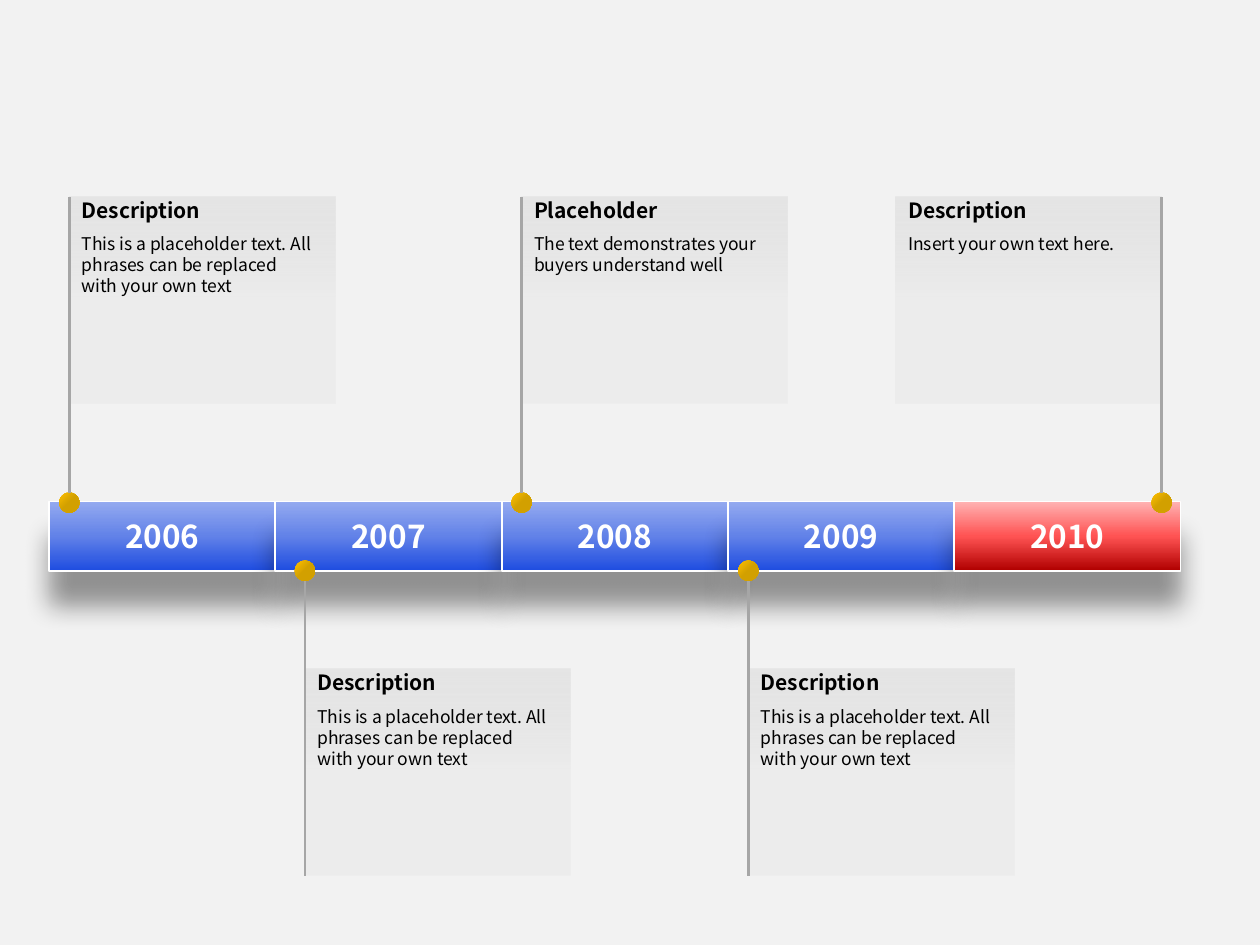
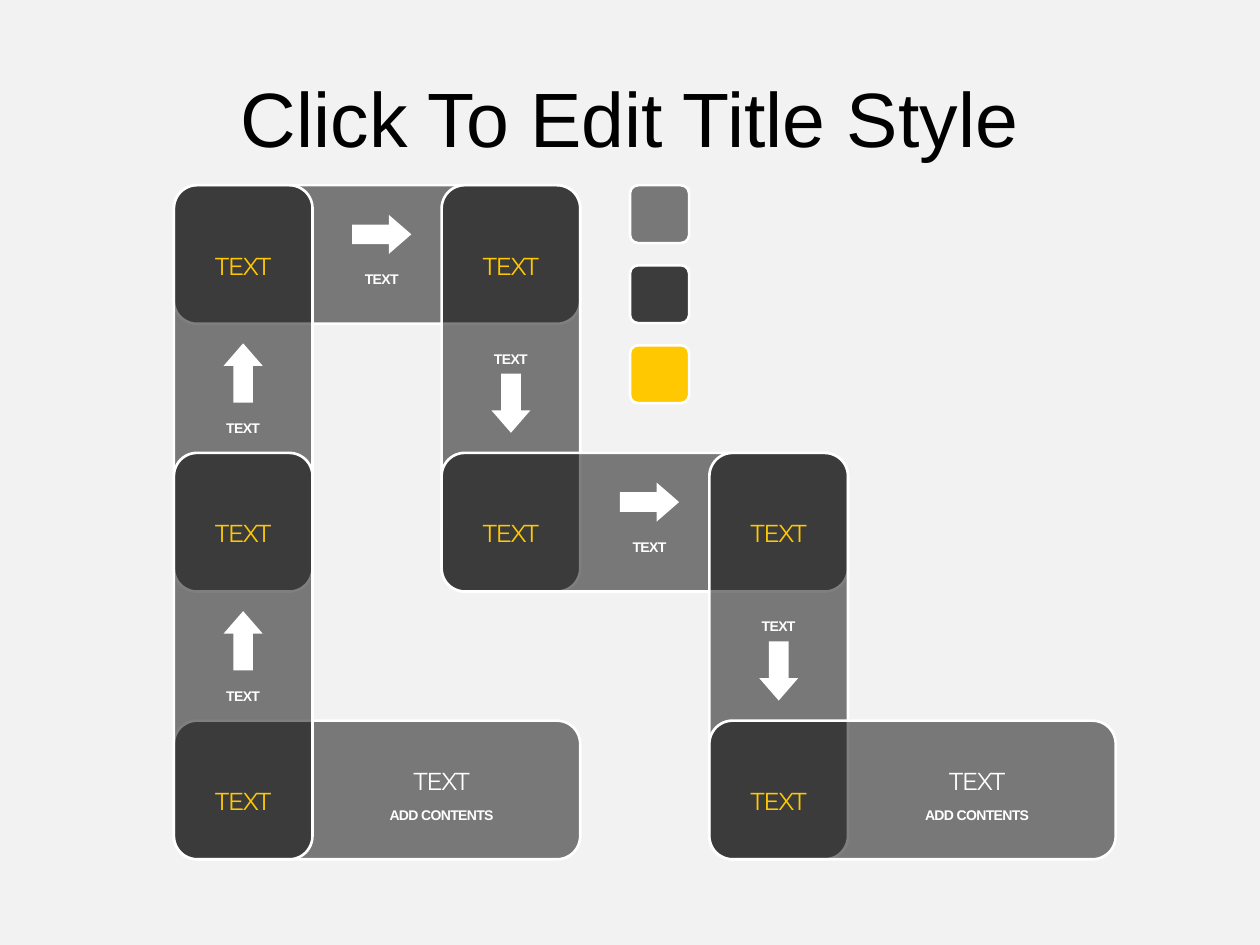
from lxml import etree
from pptx import Presentation
from pptx.dml.color import RGBColor
from pptx.enum import shapes, text
from pptx.oxml import ns
from pptx.util import Inches, Pt

BACKGROUND = RGBColor(0xF2, 0xF2, 0xF2)
BLACK = RGBColor(0, 0, 0)
WHITE = RGBColor(255, 255, 255)
GOLD = RGBColor(0xFF, 0xC8, 0x00)
STEM_GREY = RGBColor(0xA6, 0xA6, 0xA6)
CARD_STOPS = [(0, RGBColor(0xE6, 0xE6, 0xE6), 100), (50, RGBColor(0xD9, 0xD9, 0xD9), 20)]
DOT_STOPS = [(0, RGBColor(0xFF, 0xC0, 0x00), 100), (50, RGBColor(0xD2, 0xA0, 0x00), 100)]
BLUE_STOPS = [(0, RGBColor(0x94, 0xAA, 0xF0), 100), (50, RGBColor(0x62, 0x82, 0xE8), 100),
              (100, RGBColor(0x1E, 0x4C, 0xE0), 100)]
RED_STOPS = [(0, RGBColor(0xFF, 0xB3, 0xB3), 100), (50, RGBColor(0xFF, 0x53, 0x53), 100),
             (100, RGBColor(0xB0, 0x00, 0x00), 100)]

TIMELINE_FONT = "Noto Sans CJK KR"
YEAR = {"size": Pt(18), "bold": True, "name": TIMELINE_FONT}
HEADING = {"size": Pt(12), "bold": True, "name": TIMELINE_FONT}
BODY = {"size": Pt(10), "bold": False, "name": TIMELINE_FONT}
TITLE = {"size": Pt(44), "name": "Arial"}
NODE = {"size": Pt(14), "name": "Montserrat"}
CAPTION = {"size": Pt(8), "bold": True, "name": "Arial"}

PLACEHOLDER_TEXT = "This is a placeholder text. All phrases can be replaced with your own text"
MILESTONES = [
    ("2006", 0.55, "above", "Description", PLACEHOLDER_TEXT),
    ("2007", 2.42, "below", "Description", PLACEHOLDER_TEXT),
    ("2008", 4.14, "above", "Placeholder", "The text demonstrates your buyers understand well"),
    ("2009", 5.94, "below", "Description", PLACEHOLDER_TEXT),
    ("2010", 9.22, "above", "Description", "Insert your own text here."),
]
BAND_LEFT, BAND_TOP, BAND_HEIGHT = 0.39, 3.98, 0.55
YEAR_WIDTH = 8.98 / len(MILESTONES)
CARD_WIDTH, CARD_HEIGHT, DOT = 2.11, 1.64, 0.16
CARD_TOP = {"above": 1.56, "below": 5.31}
DOT_CENTER = {"above": 3.99, "below": 4.53}

FLOW_TITLE = "Click To Edit Title Style"
FLOW = [(0, 2, "end"), (0, 0, "right"), (1, 0, "down"), (1, 1, "right"),
        (2, 1, "down"), (2, 2, "end"), (0, 0, "up"), (0, 1, "up")]
NODES = [(0, 2), (0, 1), (0, 0), (1, 0), (1, 1), (2, 1), (2, 2)]
ARROWS = {
    "up": (270, (0.55, 1.49), (0.55, 1.89)),
    "down": (90, (0.55, 1.73), (0.55, 1.34)),
    "right": (0, (1.65, 0.39), (1.65, 0.71)),
}
SWATCHES = [(BLACK, 50), (BLACK, 75), (GOLD, 100)]
GRID_LEFT, GRID_TOP, SIDE, PITCH = 1.38, 1.47, 1.1, 4.25 / 2
SPAN = PITCH + SIDE


def add_xml(parent, tag, **attributes):
    return etree.SubElement(parent, ns.qn(tag), {key: str(value) for key, value in attributes.items()})


def add_color(parent, color, opacity):
    element = add_xml(parent, "a:srgbClr", val=color)
    if opacity < 100:
        add_xml(element, "a:alpha", val=opacity * 1000)


def add_shape(slide, kind, left, top, width, height, line_width=None):
    shape = slide.shapes.add_shape(kind, Inches(left), Inches(top), Inches(width), Inches(height))
    shape.shadow.inherit = False
    if line_width:
        shape.line.color.rgb = WHITE
        shape.line.width = Pt(line_width)
    else:
        shape.line.fill.background()
    return shape


def fill_solid(shape, color, opacity=100):
    shape.fill.solid()
    shape.fill.fore_color.rgb = color
    if opacity < 100:
        color_element = shape._element.spPr.find(ns.qn("a:solidFill"))[0]
        add_xml(color_element, "a:alpha", val=opacity * 1000)


def fill_gradient(shape, stops, angle):
    shape.fill.gradient()
    gradient = shape._element.spPr.find(ns.qn("a:gradFill"))
    stop_list = gradient.find(ns.qn("a:gsLst"))
    for stop in list(stop_list):
        stop_list.remove(stop)
    for position, color, opacity in stops:
        add_color(add_xml(stop_list, "a:gs", pos=position * 1000), color, opacity)
    gradient.find(ns.qn("a:lin")).set("ang", str(angle * 60000))


def drop_shadow(shape):
    effects = shape._element.spPr.find(ns.qn("a:effectLst"))
    shadow = add_xml(effects, "a:outerShdw", blurRad=Pt(15), dist=Pt(20), dir=90 * 60000, rotWithShape=0)
    add_color(shadow, BLACK, 40)


def format_paragraph(paragraph, formats, color, alignment, spacing=0):
    paragraph.alignment = alignment
    for run in paragraph.runs:
        for name, value in formats.items():
            setattr(run.font, name, value)
        run.font.color.rgb = color
        if spacing:
            run._r.get_or_add_rPr().set("spc", str(spacing))


def add_label(slide, content, left, top, width, height, formats, color, alignment=text.PP_ALIGN.LEFT,
              anchor=text.MSO_ANCHOR.TOP, wrap=True, spacing=0):
    box = slide.shapes.add_textbox(Inches(left), Inches(top), Inches(width), Inches(height))
    frame = box.text_frame
    frame.word_wrap = wrap
    frame.vertical_anchor = anchor
    frame.text = content
    format_paragraph(frame.paragraphs[0], formats, color, alignment, spacing)


def add_centered(slide, content, center, top, width, height, formats, color, spacing):
    add_label(slide, content, center - width / 2, top, width, height, formats, color,
              text.PP_ALIGN.CENTER, wrap=False, spacing=spacing)


def add_stem(slide, dot, x, side):
    card_top = CARD_TOP[side]
    start, end = {"above": (DOT_CENTER[side] - DOT / 2, card_top),
                  "below": (card_top + CARD_HEIGHT, DOT_CENTER[side] + DOT / 2)}[side]
    stem = slide.shapes.add_connector(shapes.MSO_CONNECTOR.STRAIGHT, Inches(x), Inches(start),
                                      Inches(x), Inches(end))
    if side == "above":
        stem.begin_connect(dot, 0)
    stem.line.color.rgb = STEM_GREY
    stem.line.width = Pt(1.5)
    add_xml(stem._element.spPr, "a:effectLst")


def build_timeline(presentation):
    slide = presentation.slides.add_slide(presentation.slide_layouts[6])
    last = len(MILESTONES) - 1
    card_lefts = [x - CARD_WIDTH if i == last else x for i, (_, x, *_) in enumerate(MILESTONES)]
    for left, (_, _, side, _, _) in zip(card_lefts, MILESTONES):
        card = add_shape(slide, shapes.MSO_SHAPE.RECTANGLE, left, CARD_TOP[side], CARD_WIDTH, CARD_HEIGHT)
        fill_gradient(card, CARD_STOPS, 90)
    for i in range(len(MILESTONES)):
        bar = add_shape(slide, shapes.MSO_SHAPE.RECTANGLE, BAND_LEFT + i * YEAR_WIDTH, BAND_TOP,
                        YEAR_WIDTH, BAND_HEIGHT, 1)
        fill_gradient(bar, RED_STOPS if i == last else BLUE_STOPS, 90)
        drop_shadow(bar)
    for _, x, side, _, _ in MILESTONES:
        dot = add_shape(slide, shapes.MSO_SHAPE.OVAL, x - DOT / 2, DOT_CENTER[side] - DOT / 2, DOT, DOT)
        fill_gradient(dot, DOT_STOPS, 45)
        add_stem(slide, dot, x, side)
    for i, (year, _, side, heading, body) in enumerate(MILESTONES):
        add_label(slide, year, BAND_LEFT + i * YEAR_WIDTH + 0.08, BAND_TOP, YEAR_WIDTH - 0.16, BAND_HEIGHT,
                  YEAR, WHITE, text.PP_ALIGN.CENTER, text.MSO_ANCHOR.MIDDLE)
        left, top = card_lefts[i], CARD_TOP[side]
        add_label(slide, heading, left, top, 2.03, 0.21, HEADING, BLACK, anchor=text.MSO_ANCHOR.MIDDLE)
        add_label(slide, body, left, top + 0.24, 2.03, 1.41, BODY, BLACK)


def grid_corner(column, row):
    return GRID_LEFT + column * PITCH, GRID_TOP + row * PITCH


def add_flow_bar(slide, column, row, direction):
    left, top = grid_corner(column, row)
    vertical = direction in ("up", "down")
    shift = PITCH / 2 if vertical else 0
    bar = add_shape(slide, shapes.MSO_SHAPE.ROUNDED_RECTANGLE, left - shift, top + shift, SPAN, SIDE, 1.5)
    bar.adjustments[0] = 0.167
    bar.rotation = 90 if vertical else 0
    fill_solid(bar, BLACK, 50)


def add_flow_label(slide, column, row, direction):
    left, top = grid_corner(column, row)
    if direction == "end":
        add_centered(slide, "TEXT", left + PITCH, top + 0.31, 0.94, 0.28, NODE, WHITE, -70)
        add_centered(slide, "ADD CONTENTS", left + PITCH, top + 0.63, 1.26, 0.15, CAPTION, WHITE, -40)
        return
    rotation, (arrow_x, arrow_y), (text_x, text_y) = ARROWS[direction]
    arrow = add_shape(slide, shapes.MSO_SHAPE.RIGHT_ARROW, left + arrow_x - 0.235, top + arrow_y - 0.155,
                      0.47, 0.31)
    arrow.adjustments[0], arrow.adjustments[1] = 0.503, 0.575
    arrow.rotation = rotation
    fill_solid(arrow, WHITE)
    add_centered(slide, "TEXT", left + text_x, top + text_y - 0.08, 0.47, 0.16, CAPTION, WHITE, -40)


def build_flow(presentation):
    slide = presentation.slides.add_slide(presentation.slide_layouts[5])
    title = slide.shapes.title
    geometry = {"left": 0.5, "top": 0.3, "width": 9, "height": 1.25}
    for name, value in geometry.items():
        setattr(title, name, Inches(value))
    frame = title.text_frame
    margins = {"margin_left": 0.09, "margin_top": 0.04, "margin_right": 0.09, "margin_bottom": 0.04}
    for name, value in margins.items():
        setattr(frame, name, Inches(value))
    frame.vertical_anchor = text.MSO_ANCHOR.MIDDLE
    frame.text = FLOW_TITLE
    format_paragraph(frame.paragraphs[0], TITLE, BLACK, text.PP_ALIGN.CENTER)
    for step in FLOW:
        add_flow_bar(slide, *step)
    for node in NODES:
        left, top = grid_corner(*node)
        add_centered(slide, "TEXT", left + SIDE / 2, top + 0.47, 0.79, 0.24, NODE, GOLD, -70)
    for step in FLOW:
        add_flow_label(slide, *step)
    for i, (color, opacity) in enumerate(SWATCHES):
        swatch = add_shape(slide, shapes.MSO_SHAPE.ROUNDED_RECTANGLE, 5, GRID_TOP + i * 0.635, 0.47, 0.46, 1.5)
        swatch.adjustments[0] = 0.143
        fill_solid(swatch, color, opacity)


def main():
    presentation = Presentation()
    presentation.slide_width, presentation.slide_height = Inches(10), Inches(7.5)
    background = presentation.slide_master.background.fill
    background.solid()
    background.fore_color.rgb = BACKGROUND
    build_timeline(presentation)
    build_flow(presentation)
    presentation.save("out.pptx")


if __name__ == "__main__":
    main()
